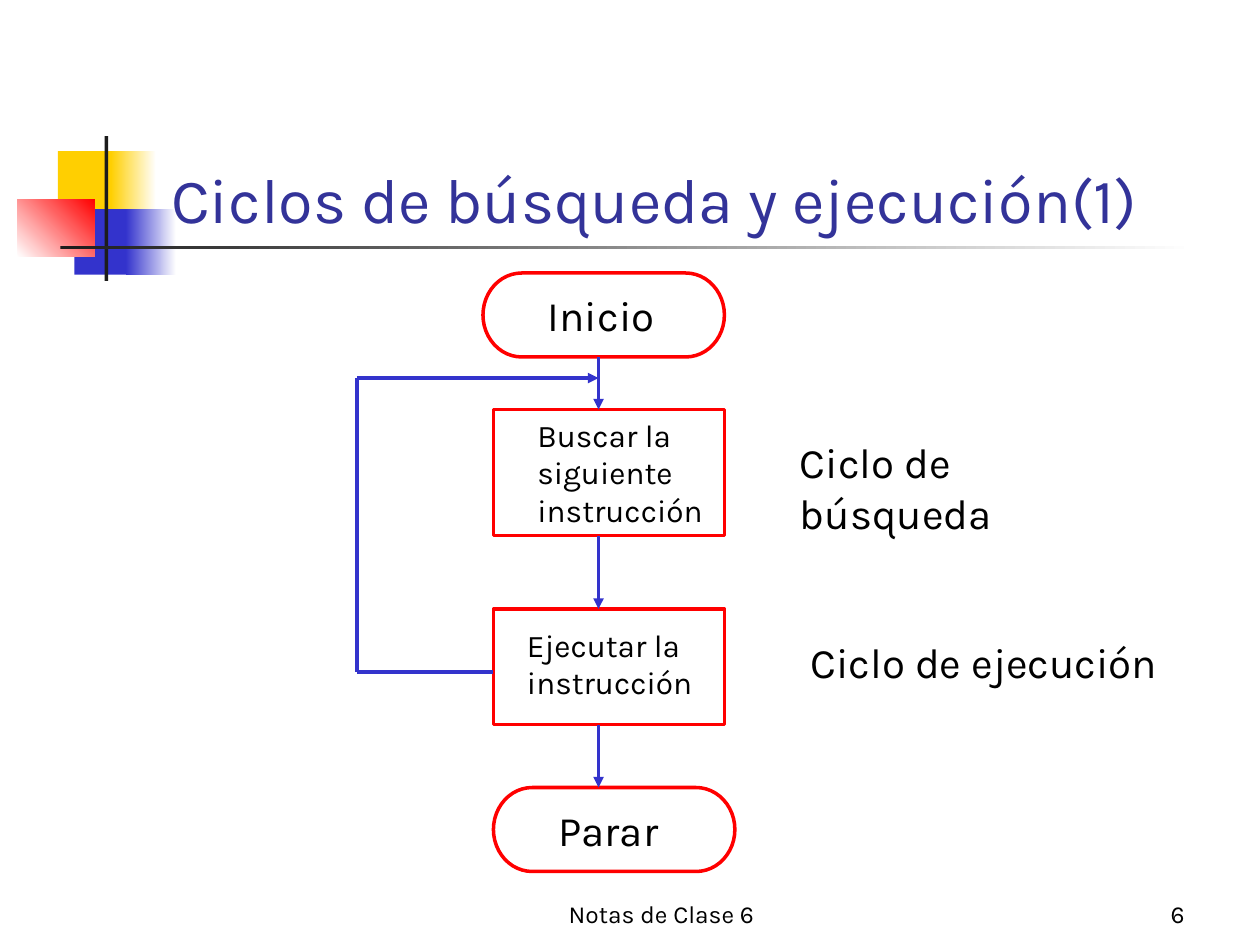
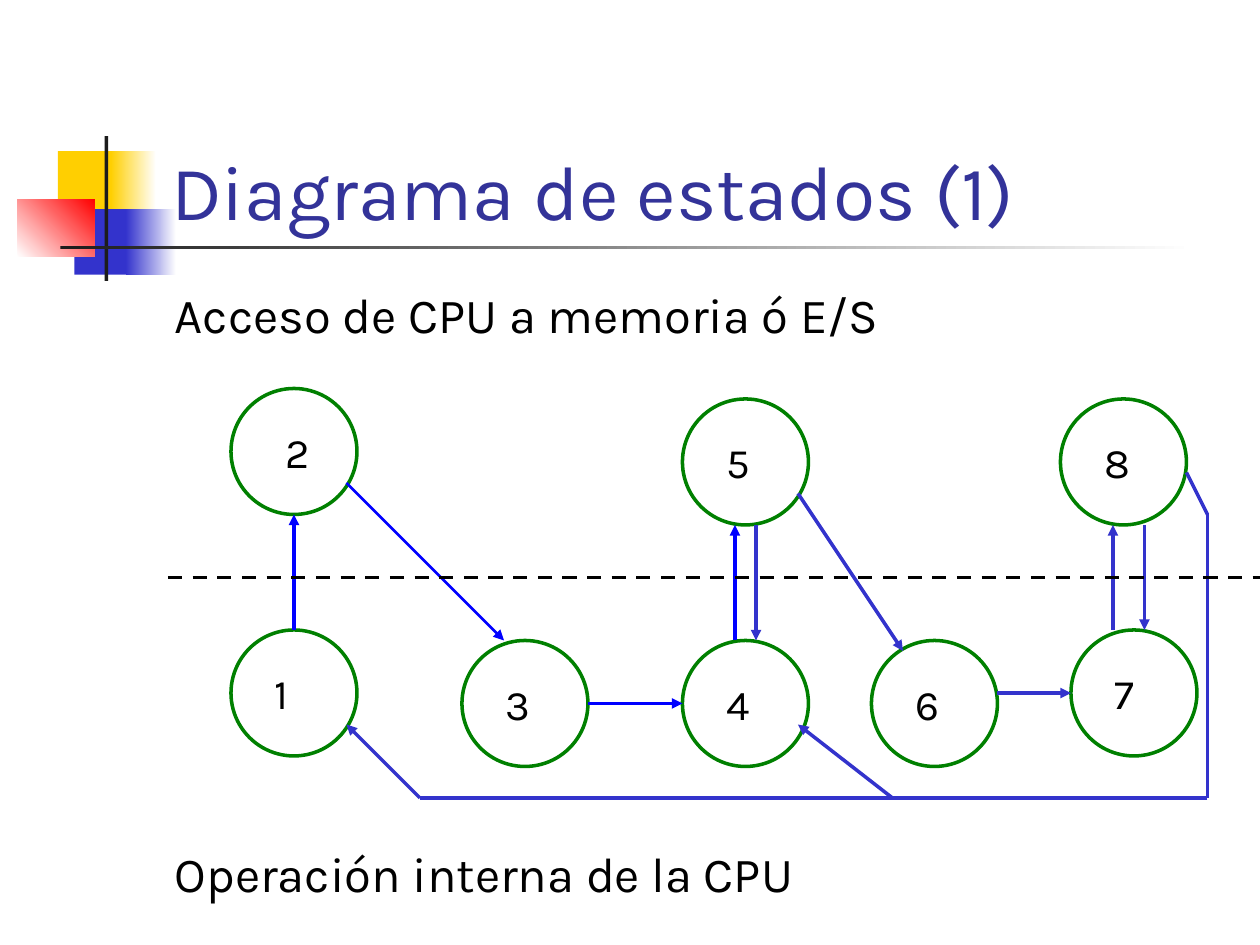
from itertools import pairwise
from lxml.etree import SubElement
from pptx import Presentation
from pptx.dml.color import RGBColor
from pptx.enum.dml import MSO_LINE
from pptx.enum.shapes import MSO_CONNECTOR, MSO_SHAPE as Preset
from pptx.enum.text import MSO_ANCHOR as Anchor, PP_ALIGN as Align
from pptx.oxml.ns import qn
from pptx.util import Inches, Pt

# Shared look; the slide is a grid of 120 columns and 90 rows
COLORS = {"gold": "FFCF01", "blue": "3333CC", "pure_blue": "0000FF", "red": "FF0000",
          "green": "008000", "ink": "1C1C1C", "title": "333399", "text": "000000",
          "white": "FFFFFF"}
FONT = "Karla"
LINE_WIDTH = 2
COLUMNS = 120
CELL = Inches(10) / COLUMNS
TITLE_BOX = (15.12, 8.04, 102.24, 15)

# Corner ornament: box, colours from start to end, gradient angle
ORNAMENT = [
    ((5.52, 14.4, 5.76, 6.24), ["gold"], 0),
    ((10.56, 14.4, 4.32, 6.24), ["gold", "white"], 0),
    ((7.08, 19.92, 5.52, 6.24), ["blue"], 0),
    ((12, 19.92, 4.8, 6.24), ["blue", "white"], 0),
    ((1.68, 18.96, 7.32, 5.52), ["white", "red"], 45),
    ((9.96, 12.96, 0.36, 13.8), ["ink"], 0),
    ((5.76, 23.4, 108, 0.36), ["ink", "white"], 0),
]

# Slide 1: fetch and execute cycle
CYCLE_TITLE = ("Ciclos de búsqueda y ejecución(1)", 36)
CYCLE_FOOTERS = [("Notas de Clase 6", (44, 83, 38, 6), Align.CENTER),
                 ("6", (89, 83, 25, 6), Align.RIGHT)]
CYCLE_STEPS = [  # text, size, preset, box, text box
    ("Inicio", 24, Preset.FLOWCHART_TERMINATOR, (46, 26, 23, 8), (51, 27, 13, 6)),
    ("Buscar la siguiente instrucción", 18, Preset.FLOWCHART_PROCESS,
     (47, 39, 22, 12), (50, 39, 19, 12)),
    ("Ejecutar la instrucción", 18, Preset.FLOWCHART_PROCESS,
     (47, 58, 22, 11), (49, 59, 19, 8.4)),
    ("Parar", 24, Preset.FLOWCHART_TERMINATOR, (47, 75, 23, 8), (52, 76, 15, 6)),
]
CYCLE_AXIS = 57
CYCLE_LOOP = [(47, 64), (34, 64), (34, 36), (CYCLE_AXIS, 36)]
CYCLE_NOTES = [("Ciclo de búsqueda", (75, 41, 35, 10.8)),
               ("Ciclo de ejecución", (76, 60, 38, 6))]

# Slide 2: state diagram
STATES_TITLE = ("Diagrama de estados (1)", 44)
STATES_BODY = ["Acceso de CPU a memoria ó E/S", "Operación interna de la CPU"]
STATES_BODY_BOX = (15.48, 26.52, 102, 63.48)
STATES_BODY_GAP = 286
STATE_SIZE = 12
STATES = [  # name, column, row, label shift, label width
    ("1", 22, 60, 3, 5), ("2", 22, 37, 4, 5), ("3", 44, 61, 3, 7), ("4", 65, 61, 3, 7),
    ("5", 65, 38, 3, 7), ("6", 83, 61, 3, 7), ("7", 102, 60, 3, 7), ("8", 101, 38, 3, 7),
]
TRANSITIONS = [  # colour, line width, points
    ("pure_blue", 2, [(28, 60), (28, 49)]),
    ("pure_blue", 1.5, [(33, 46), (48, 61)]),
    ("pure_blue", 2, [(56, 67), (65, 67)]),
    ("pure_blue", 2, [(70, 61), (70, 50)]),
    ("blue", 2, [(72, 50), (72, 61)]),
    ("blue", 2, [(76, 47), (86, 62)]),
    ("blue", 2, [(95, 66), (102, 66)]),
    ("blue", 2, [(106, 60), (106, 50)]),
    ("blue", 2, [(109, 50), (109, 60)]),
    ("blue", 2, [(113, 45), (115, 49), (115, 76), (40, 76), (33, 69)]),
    ("blue", 2, [(85, 76), (76, 69)]),
]
BOUNDARY = [(16, 55), (COLUMNS, 55)]


def color(name):
    return RGBColor.from_string(COLORS[name])


def to_emu(cells):
    return [round(value * CELL) for value in cells]


def set_all(target, values):
    for name, value in values.items():
        setattr(target, name, value)


def add_block(slide, preset, box, fills, angle=0, outline=None):
    shape = slide.shapes.add_shape(preset, *to_emu(box))
    shape.shadow.inherit = False
    if len(fills) == 1:
        shape.fill.solid()
        shape.fill.fore_color.rgb = color(fills[0])
    else:
        shape.fill.gradient()
        shape.fill.gradient_angle = angle
        for stop, name in zip(shape.fill.gradient_stops, fills):
            stop.color.rgb = color(name)
    if outline:
        shape.line.color.rgb = color(outline)
        shape.line.width = Pt(LINE_WIDTH)
    else:
        shape.line.fill.background()


def add_text(slide, lines, box, size, name="text", anchor=Anchor.TOP,
             align=Align.LEFT, gap=0):
    frame = slide.shapes.add_textbox(*to_emu(box)).text_frame
    set_all(frame, {"word_wrap": True, "vertical_anchor": anchor, "text": "\n".join(lines)})
    for index, paragraph in enumerate(frame.paragraphs):
        set_all(paragraph, {"alignment": align, "space_before": Pt(gap if index else 0)})
        set_all(paragraph.font, {"name": FONT, "size": Pt(size)})
        paragraph.font.color.rgb = color(name)


def add_route(slide, points, name, width=LINE_WIDTH, arrow=True, dash=None):
    """Join the points with straight lines; the last one carries the arrowhead."""
    for start, end in pairwise(points):
        connector = slide.shapes.add_connector(
            MSO_CONNECTOR.STRAIGHT, *to_emu(start + end))
        connector.line.color.rgb = color(name)
        set_all(connector.line, {"width": Pt(width), "dash_style": dash})
        properties = connector.element.spPr
        if arrow and end == points[-1]:
            SubElement(properties.find(qn("a:ln")), qn("a:tailEnd"), type="triangle")
        SubElement(properties, qn("a:effectLst"))


def add_slide(presentation, title, size):
    slide = presentation.slides.add_slide(presentation.slide_layouts[6])
    for box, fills, angle in ORNAMENT:
        add_block(slide, Preset.RECTANGLE, box, fills, angle)
    add_text(slide, [title], TITLE_BOX, size, "title", Anchor.BOTTOM)
    return slide


presentation = Presentation()
set_all(presentation, {"slide_width": Inches(10), "slide_height": Inches(7.5)})

# Flow chart
slide = add_slide(presentation, *CYCLE_TITLE)
for text, box, align in CYCLE_FOOTERS:
    add_text(slide, [text], box, 14, anchor=Anchor.BOTTOM, align=align)
for text, size, preset, box, text_box in CYCLE_STEPS:
    add_block(slide, preset, box, ["white"], outline="red")
    add_text(slide, [text], text_box, size)
step_boxes = [step[3] for step in CYCLE_STEPS]
for upper, lower in pairwise(step_boxes):
    add_route(slide, [(CYCLE_AXIS, upper[1] + upper[3]), (CYCLE_AXIS, lower[1])], "blue")
add_route(slide, CYCLE_LOOP, "blue")
for text, box in CYCLE_NOTES:
    add_text(slide, [text], box, 24)

# State diagram
slide = add_slide(presentation, *STATES_TITLE)
add_text(slide, STATES_BODY, STATES_BODY_BOX, 28, gap=STATES_BODY_GAP)
for name, column, row, shift, width in STATES:
    add_block(slide, Preset.OVAL, (column, row, STATE_SIZE, STATE_SIZE), ["white"],
              outline="green")
    add_text(slide, [name], (column + shift, row + 3, width, 6), 24)
for name, width, points in TRANSITIONS:
    add_route(slide, points, name, width)
add_route(slide, BOUNDARY, "text", arrow=False, dash=MSO_LINE.DASH)

presentation.save("out.pptx")
